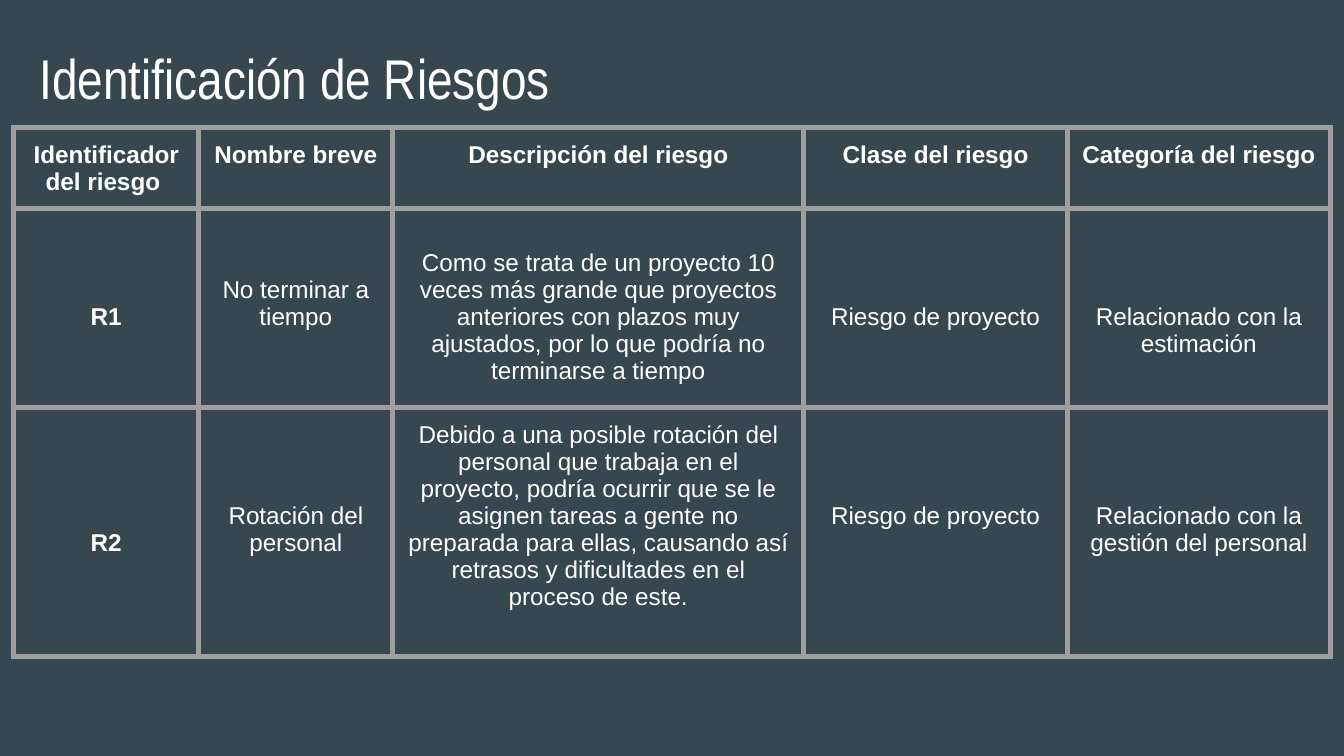
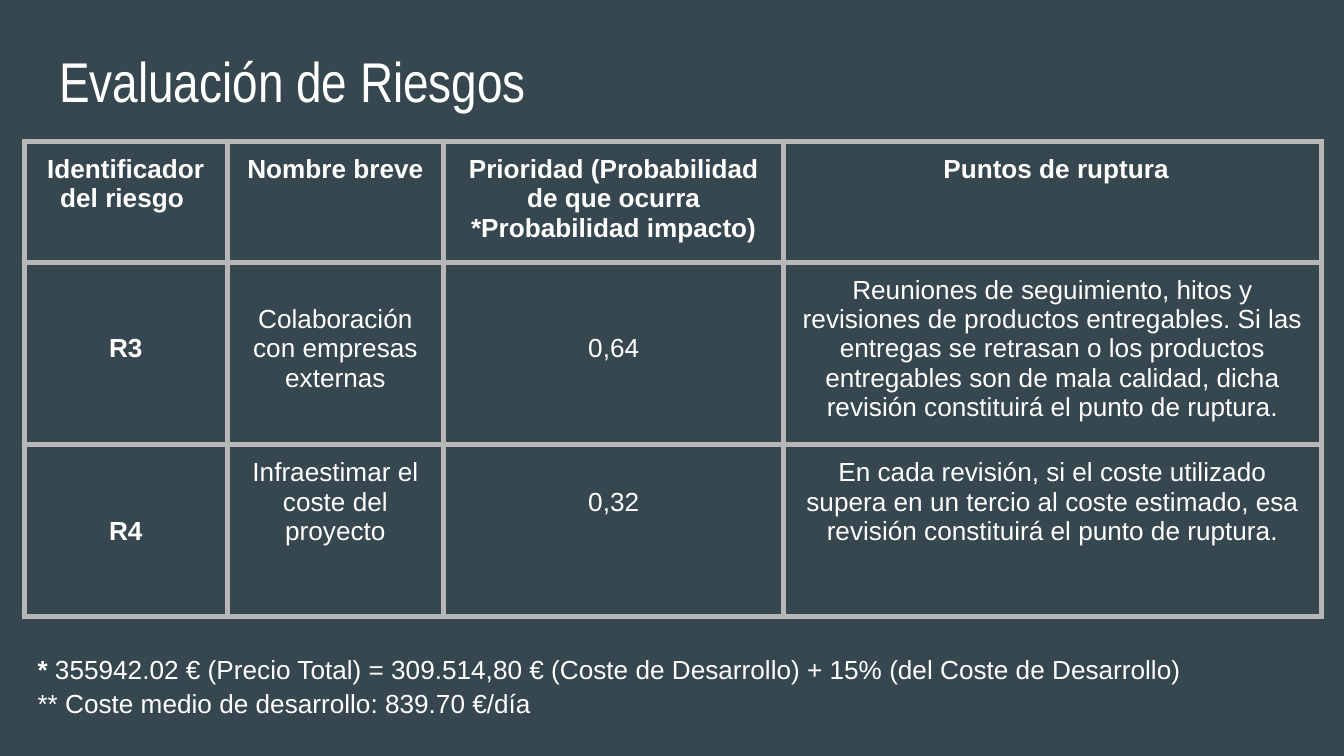
from dataclasses import dataclass
from lxml.etree import SubElement
from pptx import Presentation
from pptx.dml.color import RGBColor
from pptx.enum.text import MSO_ANCHOR, MSO_AUTO_SIZE, PP_ALIGN
from pptx.oxml.ns import qn
from pptx.util import Pt


@dataclass(frozen=True)
class Theme:
    background: str = "37474F"
    text: str = "FFFFFF"
    grid_dark: str = "9E9E9E"
    grid_light: str = "B7B7B7"
    title_font: str = "Arial Narrow"
    body_font: str = "Arial"
    title_size: int = 30
    compact_size: int = 13
    body_size: int = 14
    inset: float = 7.2
    grid_width: int = 3
    line_height: float = 1.12  # height of one text line, in ems
    note_spacing: float = 1.06


class Deck:
    def __init__(self, theme):
        self.theme = theme
        self.prs = Presentation()
        self.prs.slide_width, self.prs.slide_height = Pt(720), Pt(405)
        fill = self.prs.slide_master.background.fill
        fill.solid()
        fill.fore_color.rgb = RGBColor.from_string(theme.background)
        self.s = None

    def format_runs(self, p, size, font=None, bold=False):
        for r in p.runs:
            r.font.name = font or self.theme.body_font
            r.font.size = Pt(size)
            r.font.bold = bold
            r.font.color.rgb = RGBColor.from_string(self.theme.text)

    def set_frame(self, tf):
        tf.word_wrap = True
        tf.auto_size = MSO_AUTO_SIZE.NONE
        tf.vertical_anchor = MSO_ANCHOR.TOP
        tf.margin_left = tf.margin_right = Pt(self.theme.inset)
        tf.margin_top = tf.margin_bottom = Pt(self.theme.inset)

    def add_slide(self, title, left, top):
        self.s = self.prs.slides.add_slide(self.prs.slide_layouts[5])
        sp = self.s.shapes.title
        sp.left, sp.top, sp.width, sp.height = Pt(left), Pt(top), Pt(671), Pt(45.4)
        self.set_frame(sp.text_frame)
        sp.text_frame.text = title
        p = sp.text_frame.paragraphs[0]
        p.alignment = PP_ALIGN.LEFT
        self.format_runs(p, self.theme.title_size, self.theme.title_font)

    def add_table(self, left, top, widths, heights, rows, size, grid):
        """Each cell is (text, number of lines it is lowered by)."""
        frame = self.s.shapes.add_table(len(rows), len(widths), Pt(left), Pt(top),
                                        Pt(sum(widths)), Pt(sum(heights)))
        table = frame.table
        table.first_row = table.horz_banding = False
        for column, width in zip(table.columns, widths):
            column.width = Pt(width)
        for i, (row, height) in enumerate(zip(rows, heights)):
            table.rows[i].height = Pt(height)
            for j, (text, lowered) in enumerate(row):
                self.fill_cell(table.cell(i, j), text, lowered, size,
                               grid, bold=i == 0 or j == 0)

    def fill_cell(self, cell, text, lowered, size, grid, bold):
        inset = self.theme.inset
        cell.margin_left = cell.margin_right = cell.margin_bottom = Pt(inset)
        cell.margin_top = Pt(inset + lowered * size * self.theme.line_height)
        cell.vertical_anchor = MSO_ANCHOR.TOP
        cell.text_frame.text = text
        for p in cell.text_frame.paragraphs:
            p.alignment = PP_ALIGN.CENTER
            self.format_runs(p, size, bold=bold)
        # Borders come before the fill in the cell properties
        tc_pr = cell._tc.get_or_add_tcPr()
        for side in ("a:lnL", "a:lnR", "a:lnT", "a:lnB"):
            ln = SubElement(tc_pr, qn(side), w=str(Pt(self.theme.grid_width)))
            SubElement(SubElement(ln, qn("a:solidFill")), qn("a:srgbClr"), val=grid)
        cell.fill.background()

    def add_notes_box(self, left, top, width, height, lines):
        """Each line is a list of (text, bold) parts."""
        tf = self.s.shapes.add_textbox(Pt(left), Pt(top), Pt(width), Pt(height)).text_frame
        self.set_frame(tf)
        for i, parts in enumerate(lines):
            p = tf.add_paragraph() if i else tf.paragraphs[0]
            p.line_spacing = self.theme.note_spacing
            for text, _ in parts:
                p.add_run().text = text
            self.format_runs(p, self.theme.body_size)
            for r, (_, bold) in zip(p.runs, parts):
                r.font.bold = bold


def main():
    theme = Theme()
    deck = Deck(theme)

    # Risk identification
    deck.add_slide(" Identificación de Riesgos", 7.2, 16)
    deck.add_table(
        7.2, 68.4, [99.4, 103.7, 220.3, 141.1, 141.1], [43.4, 106.6, 133.2],
        [
            [("Identificador del riesgo ", 0), ("Nombre breve", 0),
             ("Descripción del riesgo", 0), ("Clase del riesgo", 0),
             ("Categoría del riesgo", 0)],
            [("R1", 3), ("No terminar a tiempo", 2),
             ("Como se trata de un proyecto 10 veces más grande que proyectos "
              "anteriores con plazos muy ajustados, por lo que podría no "
              "terminarse a tiempo", 1),
             ("Riesgo de proyecto", 3), ("Relacionado con la estimación", 3)],
            [("R2", 4), ("Rotación del personal", 3),
             ("Debido a una posible rotación del personal que trabaja en el "
              "proyecto, podría ocurrir que se le asignen tareas a gente no "
              "preparada para ellas, causando así retrasos y dificultades en "
              "el proceso de este.", 0),
             ("Riesgo de proyecto", 3),
             ("Relacionado con la gestión del personal", 3)],
        ],
        theme.compact_size, theme.grid_dark)

    # Risk assessment
    deck.add_slide("Evaluación de Riesgos", 24.5, 17.5)
    deck.add_table(
        13, 75.6, [108.7, 116, 182.2, 288], [64.8, 97.9, 92.2],
        [
            [("Identificador del riesgo ", 0), ("Nombre breve", 0),
             ("Prioridad (Probabilidad de que ocurra\n*Probabilidad impacto)", 0),
             (" Puntos de ruptura", 0)],
            [("R3", 2), ("Colaboración con empresas externas", 1), ("0,64", 2),
             ("Reuniones de seguimiento, hitos y revisiones de productos "
              "entregables. Si las entregas se retrasan o los productos "
              "entregables son de mala calidad, dicha revisión constituirá el "
              "punto de ruptura.", 0)],
            [("R4", 2), ("Infraestimar el coste del proyecto", 0), ("0,32", 1),
             ("En cada revisión, si el coste utilizado supera en un tercio al "
              "coste estimado, esa revisión constituirá el punto de ruptura.", 0)],
        ],
        theme.body_size, theme.grid_light)
    deck.add_notes_box(13, 342, 694.8, 51.1, [
        [("* ", True),
         ("355942.02 € (Precio Total) = 309.514,80 € (Coste de Desarrollo) "
          "+ 15% (del Coste de Desarrollo)", False)],
        [("** Coste medio de desarrollo: 839.70 €/día", False)],
    ])

    deck.prs.save("out.pptx")


if __name__ == "__main__":
    main()
